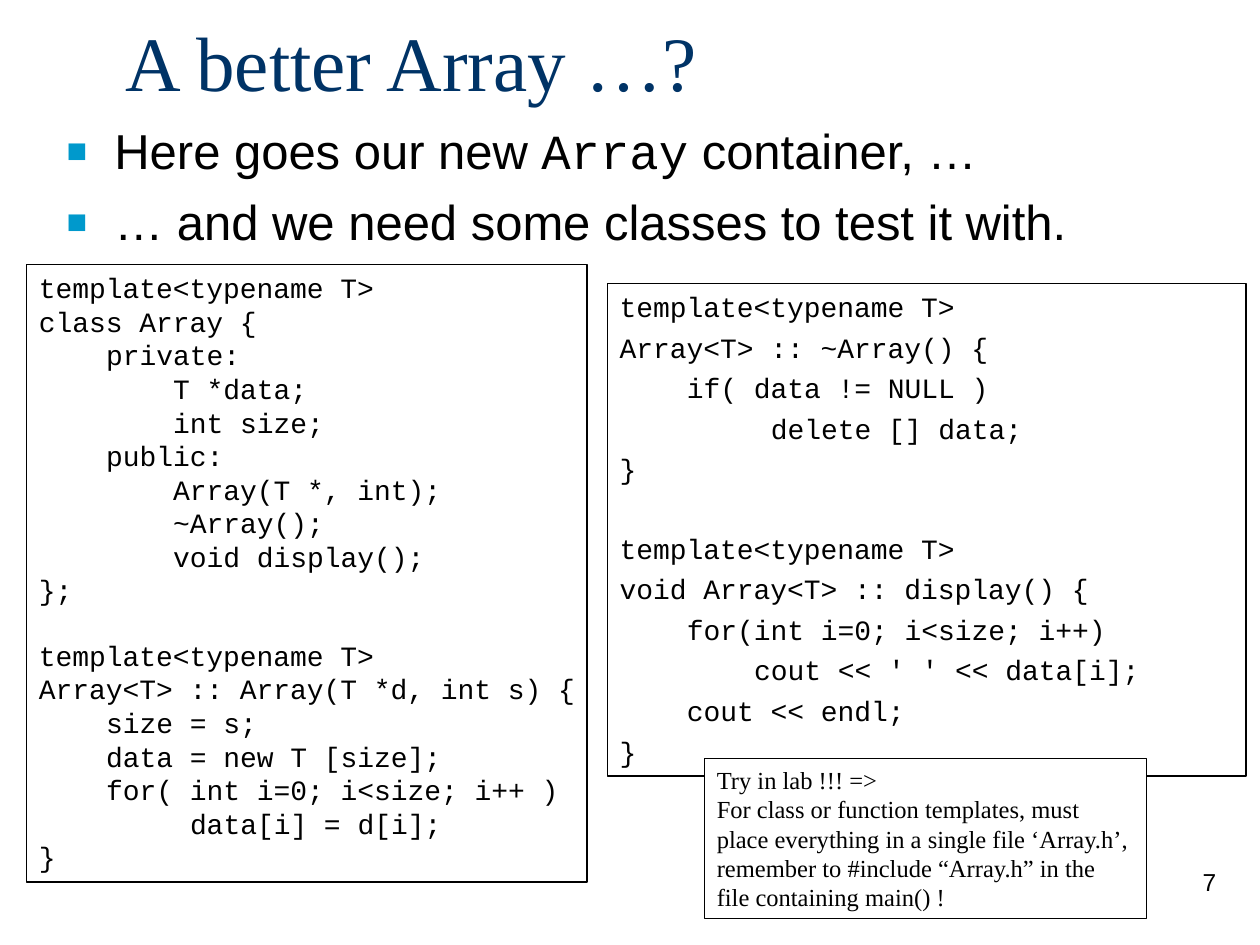
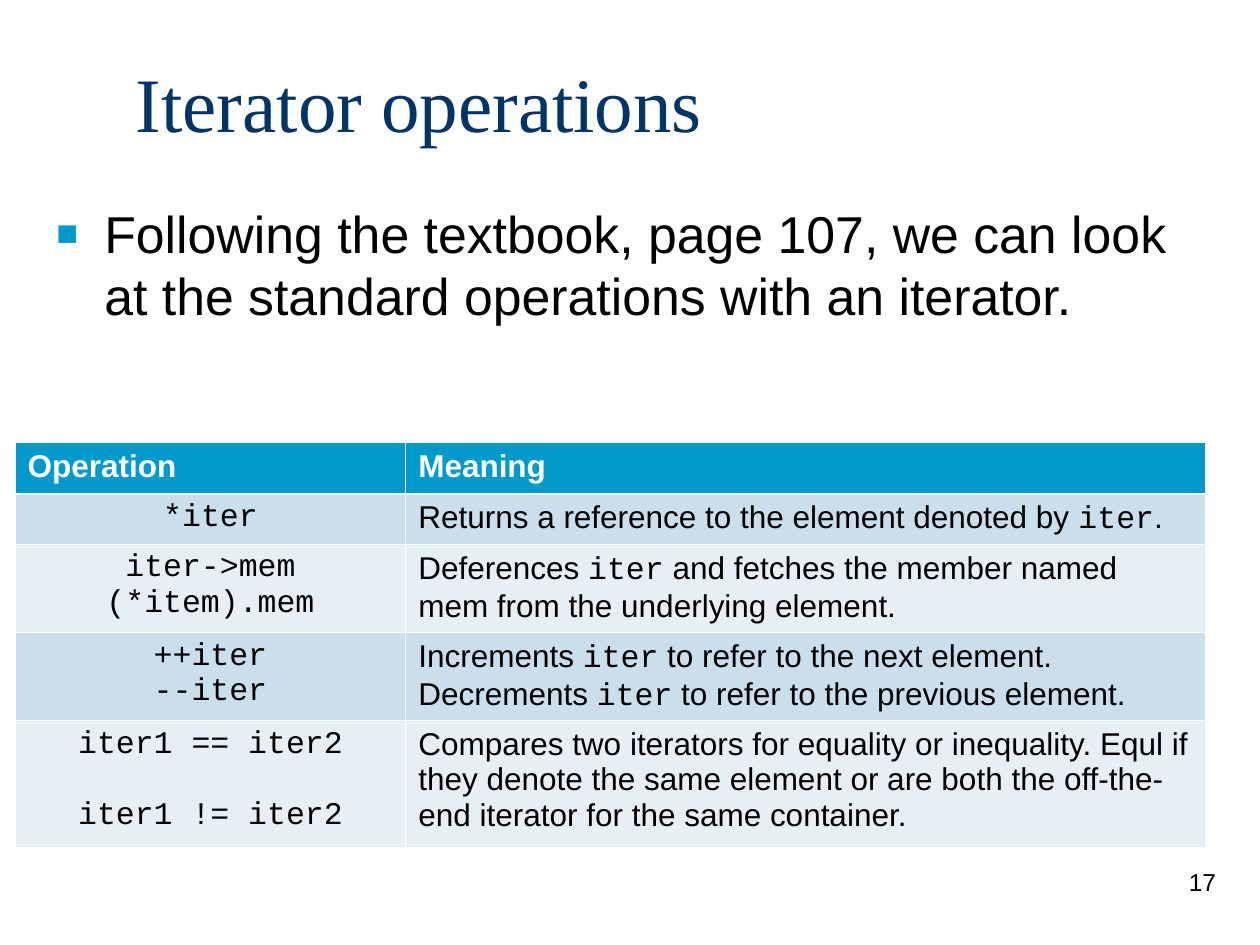
import pptx
import pptx.util
import pptx.dml.color
import pptx.enum.text
import pptx.enum.shapes
import lxml.etree

Inches = pptx.util.Inches
Pt = pptx.util.Pt
ALIGN = pptx.enum.text.PP_ALIGN
ANCHOR = pptx.enum.text.MSO_ANCHOR
RECT = pptx.enum.shapes.MSO_SHAPE.RECTANGLE
NS = "http://schemas.openxmlformats.org/drawingml/2006/main"
SANS, SERIF, MONO = "Arial", "Times New Roman", "Courier New"
BLACK, WHITE, NAVY, CYAN = "000000", "FFFFFF", "003366", "0099CC"
BANDS = ["CBDEEC", "E7EFF6"]


def hue(code):
    return pptx.dml.color.RGBColor.from_string(code)


def put(frame, lines, face, size, tone=BLACK, align=ALIGN.LEFT, above=0, bold=False, mark=False):
    frame.word_wrap = True
    para, gap = None, 0
    for line in lines:
        if not line:
            gap += size * 1.133 + above
            continue
        para = frame.add_paragraph() if para else frame.paragraphs[0]
        para.alignment = align
        para.space_before = Pt(above + gap)
        gap = 0
        text = line.lstrip()
        props = para._p.get_or_add_pPr()
        props.set("marL", str(Pt((len(line) - len(text)) * size * 0.6)))
        if mark:
            props.set("marL", str(Inches(0.38)))
            props.set("indent", str(Inches(-0.38)))
            tint = lxml.etree.SubElement(props, f"{{{NS}}}buClr")
            lxml.etree.SubElement(tint, f"{{{NS}}}srgbClr", val=CYAN)
            lxml.etree.SubElement(props, f"{{{NS}}}buSzPct", val="70000")
            lxml.etree.SubElement(props, f"{{{NS}}}buFont", typeface=SANS)
            lxml.etree.SubElement(props, f"{{{NS}}}buChar", char="■")
        for i, part in enumerate(text.split("`")):
            if part:
                run = para.add_run()
                run.text = part
                run.font.name = MONO if i % 2 else face
                run.font.size = Pt(size)
                run.font.bold = bold
                run.font.color.rgb = hue(tone)


deck = pptx.Presentation()
deck.slide_width = Inches(10)
deck.slide_height = Inches(7.5)

pages = [
    ("A better Array …?", (0.9, 0.13, 8.5, 0.71), "7",
     ["Here goes our new `Array` container, …",
      "… and we need some classes to test it with."],
     (0.43, 0.91, 9.37, 1.26), 28, 7),
    ("Iterator operations", (0.98, 0.36, 8.5, 0.89), "17",
     ["Following the textbook, page 107, we can look at the standard operations with an iterator."],
     (0.35, 1.55, 9.43, 1.66), 29.6, 8),
]
for title, place, num, points, area, size, above in pages:
    slide = deck.slides.add_slide(deck.slide_layouts[6])
    foot = slide.shapes.add_textbox(Inches(7.67), Inches(6.83), Inches(2.08), Inches(0.5))
    put(foot.text_frame, [num], SANS, 14, align=ALIGN.RIGHT, above=8.8)
    head = slide.shapes.add_textbox(*map(Inches, place))
    head.text_frame.vertical_anchor = ANCHOR.MIDDLE
    put(head.text_frame, [title], SERIF, 44, NAVY)
    body = slide.shapes.add_textbox(*map(Inches, area))
    put(body.text_frame, points, SANS, size, above=above, mark=True)

left = """template<typename T>
class Array {
    private:
        T *data;
        int size;
    public:
        Array(T *, int);
        ~Array();
        void display();
};

template<typename T>
Array<T> :: Array(T *d, int s) {
    size = s;
    data = new T [size];
    for( int i=0; i<size; i++ )
         data[i] = d[i];
}"""
right = """template<typename T>
Array<T> :: ~Array() {
    if( data != NULL )
         delete [] data;
}

template<typename T>
void Array<T> :: display() {
    for(int i=0; i<size; i++)
        cout << ' ' << data[i];
    cout << endl;
}"""
hint = """Try in lab !!! =>
For class or function templates, must place everything in a single file ‘Array.h’, \
remember to #include “Array.h” in the file containing main() !"""
boxes = [
    (left, (0.21, 2.1, 4.45, 4.9), MONO, 16, 0, False),
    (right, (4.82, 2.25, 5.07, 3.91), MONO, 16, 4, True),
    (hint, (5.59, 6.02, 3.51, 1.27), SERIF, 14, 0, True),
]
for text, area, face, size, above, wrap in boxes:
    box = deck.slides[0].shapes.add_shape(RECT, *map(Inches, area))
    box.shadow.inherit = False
    box.fill.background()
    if text == hint:
        box.fill.solid()
        box.fill.fore_color.rgb = hue(WHITE)
    box.line.color.rgb = hue(BLACK)
    box.line.width = Pt(0.74)
    box.text_frame.vertical_anchor = ANCHOR.TOP
    put(box.text_frame, text.split("\n"), face, size, above=above)
    box.text_frame.word_wrap = wrap

rows = [
    (["Operation"], ["Meaning"]),
    (["*iter"], ["Returns a reference to the element denoted by `iter`."]),
    (["iter->mem", "(*item).mem"],
     ["Deferences `iter` and fetches the member named mem from the underlying element."]),
    (["++iter", "--iter"],
     ["Increments `iter` to refer to the next element.",
      "Decrements `iter` to refer to the previous element."]),
    (["iter1 == iter2", "", "iter1 != iter2"],
     ["Compares two iterators for equality or inequality. Equl if they denote the same element "
      "or are both the off-the-end iterator for the same container."]),
]
grid = deck.slides[1].shapes.add_table(
    5, 2, Inches(0.12), Inches(3.51), Inches(9.45), Inches(3.21)).table
for col, wide in zip(grid.columns, [3.1, 6.35]):
    col.width = Inches(wide)
for row, tall in zip(grid.rows, [0.41, 0.4, 0.7, 0.7, 1]):
    row.height = Inches(tall)
for r, row in enumerate(rows):
    for c, lines in enumerate(row):
        cell = grid.cell(r, c)
        props = cell._tc.get_or_add_tcPr()
        for side in ["lnL", "lnR", "lnT", "lnB"]:
            thick = (r, side) in [(0, "lnB"), (1, "lnT")]
            edge = lxml.etree.SubElement(props, f"{{{NS}}}{side}", w=str(Pt(1.47 if thick else 0.45)))
            fill = lxml.etree.SubElement(edge, f"{{{NS}}}solidFill")
            lxml.etree.SubElement(fill, f"{{{NS}}}srgbClr", val=WHITE)
        cell.fill.solid()
        cell.fill.fore_color.rgb = hue(BANDS[(r - 1) % 2] if r else CYAN)
        if r == 0:
            put(cell.text_frame, lines, SANS, 18, WHITE, bold=True)
        elif c == 0:
            put(cell.text_frame, lines, MONO, 18, align=ALIGN.CENTER)
        else:
            put(cell.text_frame, lines, SANS, 18)

deck.save("out.pptx")
